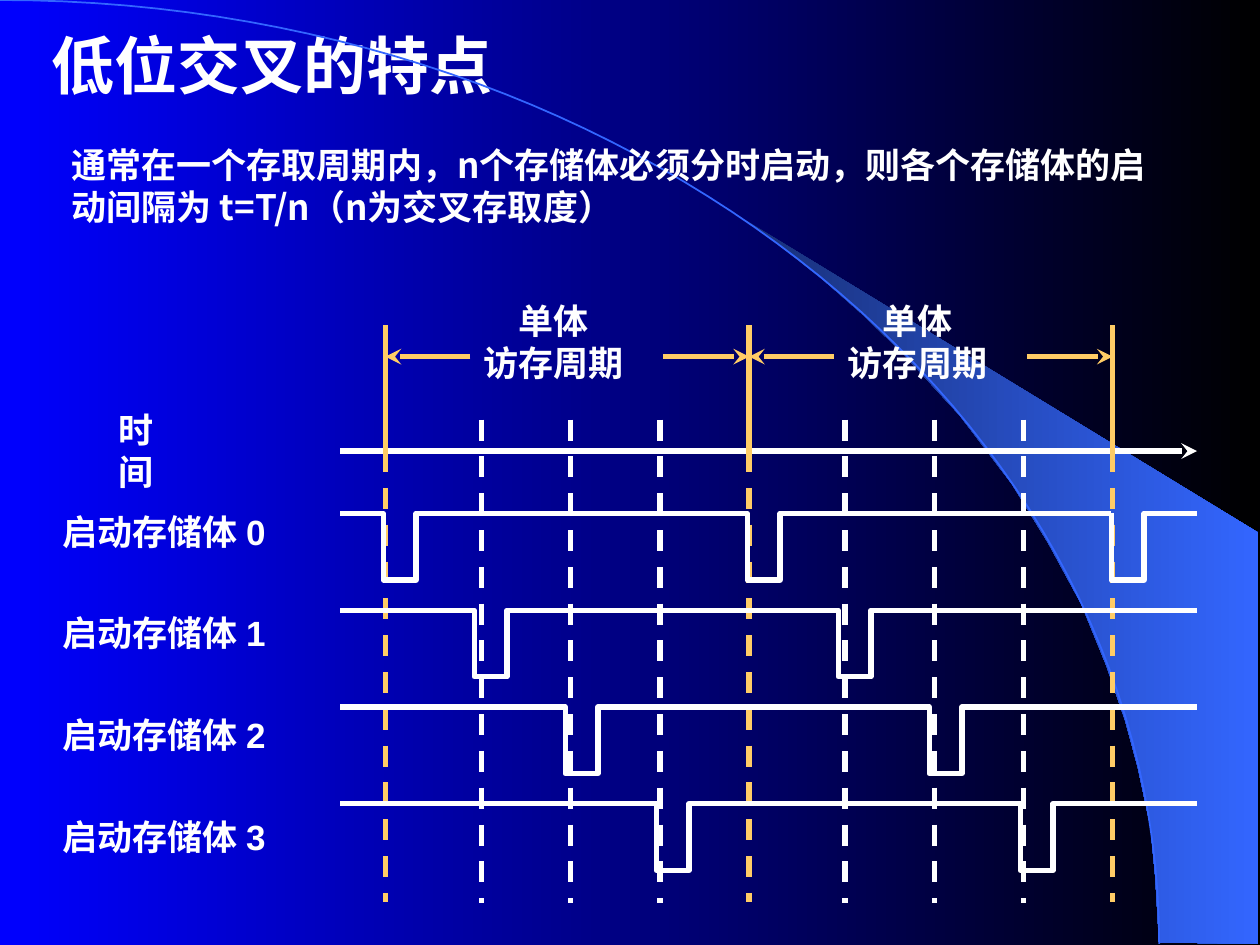
from lxml import etree
from pptx import Presentation
from pptx.dml.color import RGBColor
from pptx.enum.dml import MSO_LINE
from pptx.enum.shapes import MSO_CONNECTOR
from pptx.enum.text import MSO_ANCHOR, MSO_AUTO_SIZE, PP_ALIGN
from pptx.oxml.ns import qn
from pptx.util import Pt

DASH = MSO_LINE.DASH
STRAIGHT = MSO_CONNECTOR.STRAIGHT
TOP = MSO_ANCHOR.TOP
FIT_SHAPE = MSO_AUTO_SIZE.SHAPE_TO_FIT_TEXT
LEFT, CENTER = PP_ALIGN.LEFT, PP_ALIGN.CENTER

WHITE, GOLD, BLUE = "FFFFFF", "FFCC66", "3366FF"
CJK_FONT = "Noto Sans CJK SC"
AXIS_LEFT, AXIS_RIGHT, AXIS_Y = 194.4, 684, 257.8
CYCLE_LEFT, CYCLE = 220.3, 207.75
PULSE_LEFT, PULSE_STEP, PULSE_CYCLE = 219, 52, 208
PULSE_WIDTH, PULSE_DEPTH = 18.7, 38
BANKS = 4

CURVE_POINTS = [
    (0, 0), (60, 1), (119, 4.5), (177, 10), (234, 18.5), (289, 29), (342, 42),
    (392, 57.5), (438, 75), (424, 124.6),
]
BEAM_POINTS = [
    (662.4, 538.6), (719.3, 539.3), (719.3, 304.6), (424.1, 124.6),
    (449.3, 143.3), (470.2, 159.8), (493.2, 180), (515.5, 201.6),
    (548.6, 237.6), (578.2, 276.5), (599, 310.3), (617.8, 344.9),
    (632.2, 380.2), (643, 411.8), (650.2, 438.5), (657.4, 472.3),
    (660.2, 501.1),
]


def color(value):
    """Turn a hex string into a colour."""
    return RGBColor.from_string(value)


def set_gradient(fill, start, end):
    """Fill with a gradient from left to right."""
    fill.gradient()
    fill.gradient_angle = 0
    for stop, value in zip(fill.gradient_stops, (start, end)):
        stop.color.rgb = color(value)


def format_text(shape, lines, size, font="Arial", wrap=False, alignment=LEFT):
    """Write bold white lines into a shape that fits its text."""
    frame = shape.text_frame
    frame.word_wrap = wrap
    frame.auto_size = FIT_SHAPE
    frame.vertical_anchor = TOP
    for index, line in enumerate(lines):
        paragraph = frame.add_paragraph() if index else frame.paragraphs[0]
        paragraph.alignment = alignment
        paragraph.line_spacing = 1.0
        paragraph.space_before = Pt(0)
        run = paragraph.add_run()
        run.text = line
        run.font.name = font
        run.font.size = Pt(size)
        run.font.bold = True
        run.font.color.rgb = color(WHITE)
        properties = run.font._element
        etree.SubElement(properties, qn("a:ea"), typeface=CJK_FONT)


def add_title(slide, text):
    """Place and fill the title placeholder."""
    title = slide.shapes.title
    title.left, title.top = Pt(22.3), Pt(11.5)
    title.width, title.height = Pt(318.2), Pt(50.4)
    format_text(title, [text], 36, wrap=True)


def add_text(slide, left, top, width, height, lines, **options):
    """Add a text box."""
    box = slide.shapes.add_textbox(Pt(left), Pt(top), Pt(width), Pt(height))
    format_text(box, lines, 20, **options)


def add_line(slide, start, end, value, dashed=False, arrow=False):
    """Add a straight line, dashed or with an arrowhead if asked."""
    connector = slide.shapes.add_connector(
        STRAIGHT, *(Pt(length) for length in (*start, *end)))
    connector.line.color.rgb = color(value)
    connector.line.width = Pt(3)
    if dashed:
        connector.line.dash_style = DASH
    properties = connector._element.spPr
    if arrow:
        outline = properties.find(qn("a:ln"))
        etree.SubElement(outline, qn("a:tailEnd"), type="stealth")
    etree.SubElement(properties, qn("a:effectLst"))


def add_outline(slide, points, value=None, width=3, close=False):
    """Add an unfilled freeform through the points."""
    corners = [(Pt(x), Pt(y)) for x, y in points]
    builder = slide.shapes.build_freeform(*corners[0])
    builder.add_line_segments(corners[1:], close=close)
    shape = builder.convert_to_shape()
    shape.shadow.inherit = False
    shape.fill.background()
    if value:
        shape.line.color.rgb = color(value)
        shape.line.width = Pt(width)
    else:
        shape.line.fill.background()
    return shape


def curve_point(t):
    """Return the point at t on the backdrop's cubic curve."""
    x = 3 * (1 - t) ** 2 * t * 365.8 + (3 * (1 - t) * t ** 2 + t ** 3) * 662.4
    y = 3 * (1 - t) * t ** 2 * 241.2 + t ** 3 * 539.3
    return x, y


def add_backdrop(slide):
    """Draw the gradient, the beam and the curve behind the content."""
    set_gradient(slide.background.fill, "0000FF", "000000")
    beam = add_outline(slide, BEAM_POINTS, close=True)
    set_gradient(beam.fill, "182F76", BLUE)
    add_outline(slide, [curve_point(step / 60) for step in range(61)], BLUE, 1)


def add_wave(slide, left, right, top, pulses):
    """Draw a signal that drops at each pulse."""
    points = [(left, top)]
    for start in pulses:
        end, bottom = start + PULSE_WIDTH, top + PULSE_DEPTH
        points += [(start, top), (start, bottom), (end, bottom), (end, top)]
    add_outline(slide, points + [(right, top)], WHITE)


def add_guides(slide):
    """Draw the dashed guides of the banks and cycles."""
    for slot in range(BANKS - 1):
        for cycle in range(2):
            x = 275.1 + 51.05 * slot + CYCLE * cycle
            add_line(slide, (x, 239.8), (x, 516.2), WHITE, dashed=True)
    for cycle in range(3):
        x = CYCLE_LEFT + CYCLE * cycle
        add_line(slide, (x, AXIS_Y), (x, 515.5), GOLD, dashed=True)


def add_cycles(slide):
    """Draw the measured cycles above the time axis."""
    for cycle in range(2):
        left = CYCLE_LEFT + CYCLE * cycle
        right = left + CYCLE
        add_text(slide, left + 49, 167.8, 94.3, 55.4, ["单体", "访存周期"],
                 alignment=CENTER)
        add_line(slide, (right - 49, 203.8), (right, 203.8), GOLD, arrow=True)
        add_line(slide, (left + 48.5, 203.8), (left, 203.8), GOLD, arrow=True)
    for cycle in range(3):
        x = CYCLE_LEFT + CYCLE * cycle
        add_line(slide, (x, 185.8), (x, 264.2), GOLD)


def add_banks(slide):
    """Draw the label and signal of each memory bank."""
    for bank in range(BANKS):
        add_text(slide, 28.8, 288 + 58.1 * bank, 135.4, 31.7,
                 [f"启动存储体 {bank}"])
        top = 293.4 + 55.3 * bank
        first = PULSE_LEFT + PULSE_STEP * bank
        pulses = [first, first + PULSE_CYCLE]
        last = first + 2 * PULSE_CYCLE
        if last < AXIS_RIGHT:
            add_wave(slide, AXIS_LEFT, last, top, pulses)
            add_wave(slide, last, AXIS_RIGHT, top, [last])
        else:
            add_wave(slide, AXIS_LEFT, AXIS_RIGHT, top, pulses)


def main():
    """Build and save the slide."""
    presentation = Presentation()
    presentation.slide_width, presentation.slide_height = Pt(720), Pt(540)
    slide = presentation.slides.add_slide(presentation.slide_layouts[5])
    add_backdrop(slide)
    add_guides(slide)
    add_title(slide, "低位交叉的特点")
    add_text(slide, 60.5, 229.7, 54, 31.7, ["时间"])
    add_line(slide, (AXIS_LEFT, AXIS_Y), (AXIS_RIGHT, AXIS_Y), WHITE, arrow=True)
    add_cycles(slide)
    add_banks(slide)
    add_text(slide, 33.8, 78.5, 646.6, 55.4,
             ["通常在一个存取周期内，n个存储体必须分时启动，则各个存储体的"
              "启动间隔为 t=T/n（n为交叉存取度）"], font=CJK_FONT, wrap=True)
    presentation.save("out.pptx")


if __name__ == "__main__":
    main()
